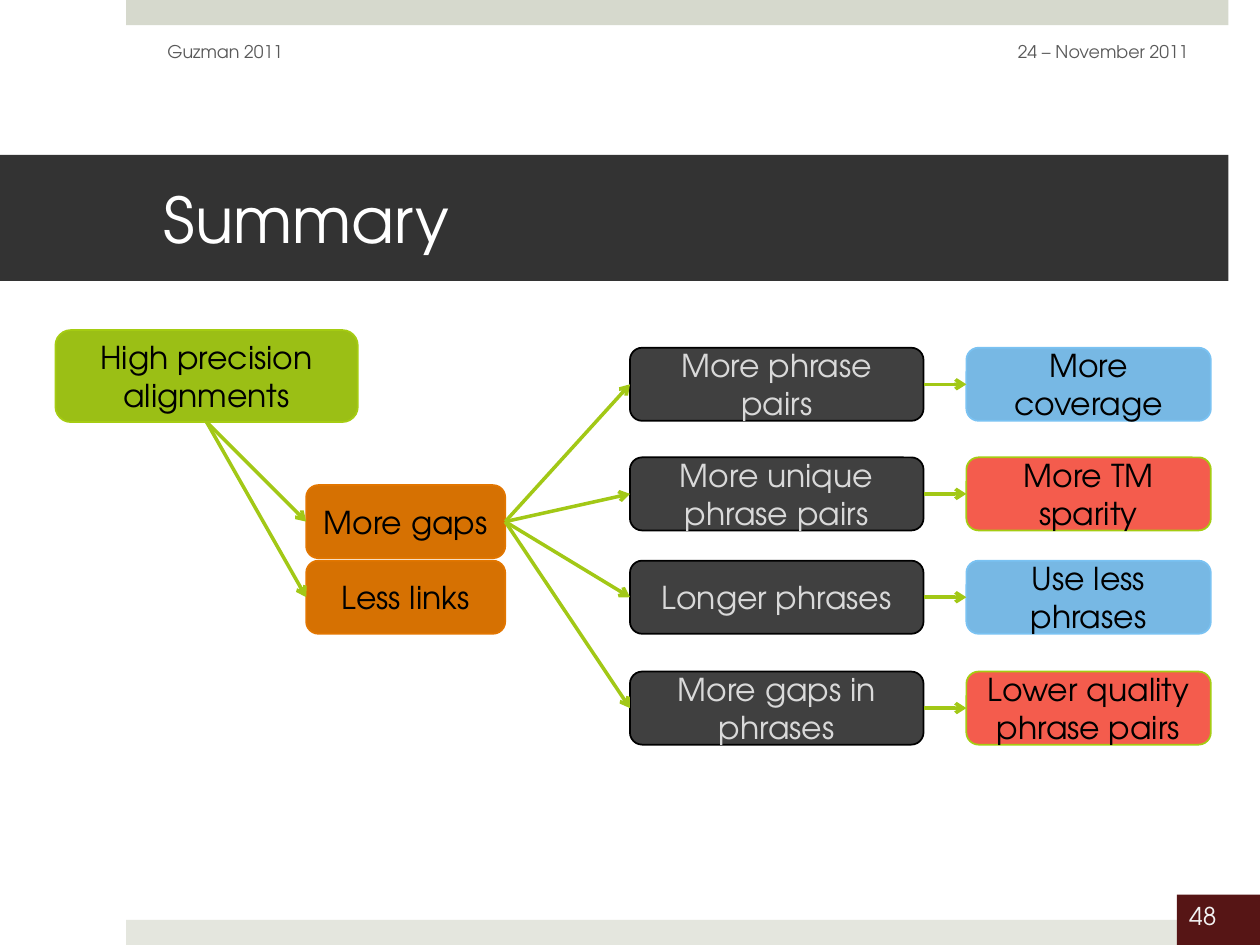
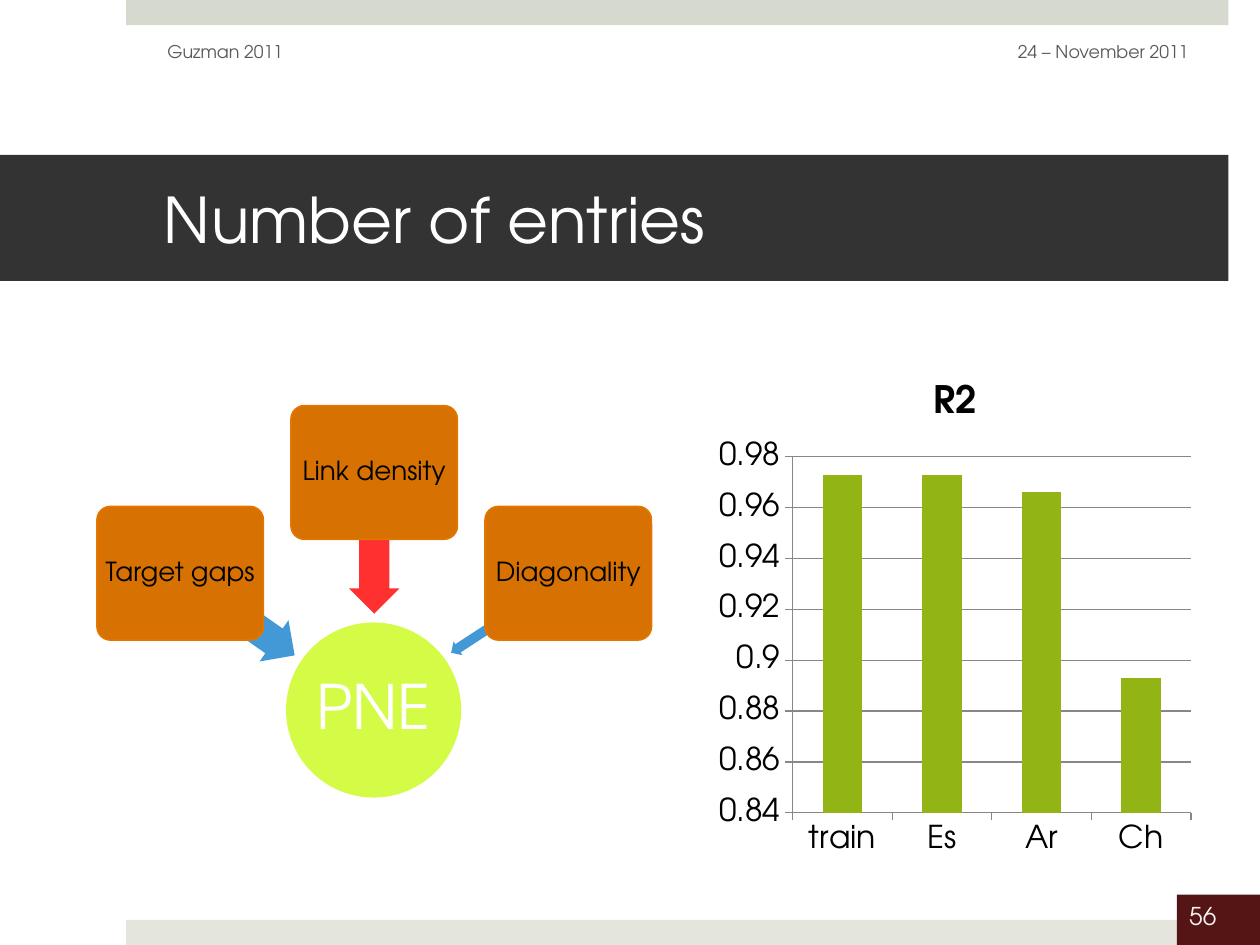
from lxml import etree
from pptx import Presentation
from pptx.chart.data import CategoryChartData
from pptx.dml.color import RGBColor
from pptx.enum.chart import XL_CHART_TYPE, XL_TICK_MARK
from pptx.enum.shapes import MSO_CONNECTOR, MSO_SHAPE
from pptx.enum.text import MSO_ANCHOR, MSO_AUTO_SIZE, PP_ALIGN
from pptx.oxml.ns import qn
from pptx.util import Inches, Pt

RECTANGLE = MSO_SHAPE.RECTANGLE
ROUNDED = MSO_SHAPE.ROUNDED_RECTANGLE
OVAL = MSO_SHAPE.OVAL
LEFT_ARROW = MSO_SHAPE.LEFT_ARROW
STRAIGHT = MSO_CONNECTOR.STRAIGHT
COLUMNS = XL_CHART_TYPE.COLUMN_CLUSTERED
TICK_OUTSIDE = XL_TICK_MARK.OUTSIDE
TOP, MIDDLE = MSO_ANCHOR.TOP, MSO_ANCHOR.MIDDLE
LEFT, CENTER, RIGHT = PP_ALIGN.LEFT, PP_ALIGN.CENTER, PP_ALIGN.RIGHT
NO_AUTOFIT = MSO_AUTO_SIZE.NONE

FONT = "TeX Gyre Adventor"
WHITE, BLACK, GRAY_TEXT = "FFFFFF", "000000", "595959"
TITLE_BAND, TOP_BAND, BOTTOM_BAND = "333333", "D6D9CD", "E4E6DE"
NUMBER_FILL, NUMBER_TEXT = "561515", "F2F2F2"
CONNECTOR_GREEN, BAR_GREEN, AXIS_GRAY = "A2C816", "92B414", "878787"
ARROW_BLUE, ARROW_RED, CIRCLE_LIME = "4299D6", "FF3030", "D4FC46"

# Each style is fill, outline, text
GREEN = ("9BBF15", "A5CC12", BLACK)
ORANGE = ("D67102", "E27600", BLACK)
DARK = ("404040", BLACK, "D9D9D9")
BLUE = ("77B8E4", "7AC2F2", BLACK)
RED = ("F45C4D", "A5CC12", BLACK)


def color(value):
    return RGBColor.from_string(value)


def set_font(font, size, fill=BLACK, bold=False):
    font.name, font.size, font.bold = FONT, Pt(size), bold
    font.color.rgb = color(fill)


def write(shape, text, size=18, fill=BLACK, align=CENTER, anchor=MIDDLE,
          margins=(0.1, 0.05, 0.1, 0.05), spacing=None):
    """Set the text of a shape; margins run left, top, right, bottom."""
    frame = shape.text_frame
    frame.word_wrap = True
    frame.auto_size = NO_AUTOFIT
    frame.vertical_anchor = anchor
    (frame.margin_left, frame.margin_top,
     frame.margin_right, frame.margin_bottom) = map(Inches, margins)
    frame.text = text
    para = frame.paragraphs[0]
    para.alignment = align
    if spacing:
        para.line_spacing = spacing
    set_font(para.runs[0].font, size, fill)


def add_block(page, kind, box, fill, line=None):
    shape = page.shapes.add_shape(kind, *map(Inches, box))
    shape.shadow.inherit = False
    shape.fill.solid()
    shape.fill.fore_color.rgb = color(fill)
    if line:
        shape.line.color.rgb = color(line)
        shape.line.width = Pt(1)
    else:
        shape.line.fill.background()
    return shape


def add_label(page, box, text, **text_format):
    write(page.shapes.add_textbox(*map(Inches, box)), text, **text_format)


def add_step(page, box, text, style):
    fill, line, text_color = style
    write(add_block(page, ROUNDED, box, fill, line), text, fill=text_color)


def add_link(page, start, end):
    link = page.shapes.add_connector(STRAIGHT, *map(Inches, start + end))
    link.line.color.rgb = color(CONNECTOR_GREEN)
    link.line.width = Pt(2)
    outline = link.line._get_or_add_ln()
    etree.SubElement(outline, qn("a:tailEnd"), type="arrow")
    etree.SubElement(link._element.spPr, qn("a:effectLst"))


def add_page(deck, title, number):
    """Add a title-only page with the shared bands, header and number."""
    page = deck.slides.add_slide(deck.slide_layouts[5])
    add_block(page, RECTANGLE, (1, 0, 8.75, 0.2), TOP_BAND)
    add_block(page, RECTANGLE, (1, 7.3, 8.75, 0.2), BOTTOM_BAND)
    badge = add_block(page, RECTANGLE, (9.34, 7.1, 0.66, 0.4), NUMBER_FILL)
    write(badge, number, size=14, fill=NUMBER_TEXT, align=LEFT, anchor=TOP)

    heading = page.shapes.title
    heading.left, heading.top, heading.width, heading.height = map(
        Inches, (0, 1.23, 9.75, 1))
    heading.fill.solid()
    heading.fill.fore_color.rgb = color(TITLE_BAND)
    write(heading, title, size=36, fill=WHITE, align=LEFT,
          margins=(1.3, 0.05, 0.3, 0.05))

    header = {"size": 10, "fill": GRAY_TEXT}
    add_label(page, (1.23, 0.21, 3.17, 0.4), "Guzman 2011", align=LEFT, **header)
    add_label(page, (7.2, 0.21, 2.33, 0.4), "24 – November 2011", align=RIGHT, **header)
    return page


def add_summary_flow(page, left, top):
    """Draw cause, changes, results and effects from left to right."""
    cause_width, cause_height, height = 2.4, 0.73, 0.58
    change_left, change_width = left + 1.99, 1.58
    result_left, result_width = left + 4.56, 2.33
    effect_left, effect_width = left + 7.23, 1.94
    changes = [(1.23, "More gaps"), (1.83, "Less links")]
    outcomes = [
        (0.14, "More phrase pairs", "More coverage", BLUE),
        (1.01, "More unique phrase pairs", "More TM sparity", RED),
        (1.83, "Longer phrases", "Use less phrases", BLUE),
        (2.71, "More gaps in phrases", "Lower quality phrase pairs", RED),
    ]

    add_step(page, (left, top, cause_width, cause_height),
             "High precision alignments", GREEN)
    cause_exit = (left + cause_width / 2, top + cause_height)
    for offset, change in changes:
        add_step(page, (change_left, top + offset, change_width, height),
                 change, ORANGE)
        add_link(page, cause_exit, (change_left, top + offset + height / 2))

    gaps_exit = (change_left + change_width, top + changes[0][0] + height / 2)
    for offset, result, effect, style in outcomes:
        row = top + offset
        middle = row + height / 2
        add_step(page, (result_left, row, result_width, height), result, DARK)
        add_step(page, (effect_left, row, effect_width, height), effect, style)
        add_link(page, gaps_exit, (result_left, middle))
        add_link(page, (result_left + result_width, middle), (effect_left, middle))


def add_factor_diagram(page, left, top):
    """Draw three factors whose arrows point at the PNE circle."""
    circle = add_block(page, OVAL, (left + 1.5, top + 1.72, 1.39, 1.39), CIRCLE_LIME)
    write(circle, "PNE", size=35, fill=WHITE, margins=(0.02,) * 4, spacing=0.9)

    # Name, card drop, arrow offset, arrow thickness, rotation, arrow colour
    factors = [
        ("Target gaps", 0.8, (0.55, 1.46), 0.4, 215, ARROW_BLUE),
        ("Link density", 0, (1.64, 0.89), 0.4, 270, ARROW_RED),
        ("Diagonality", 0.8, (2.72, 1.59), 0.13, 326.9, ARROW_BLUE),
    ]
    fill, line, text_color = ORANGE
    for index, (name, drop, (across, down), thickness, angle, tint) in enumerate(factors):
        arrow = add_block(page, LEFT_ARROW,
                          (left + across, top + down, 1.12, thickness), tint)
        arrow.adjustments[0], arrow.adjustments[1] = 0.6, 0.5
        arrow.rotation = angle
        card = add_block(page, ROUNDED,
                         (left + index * 1.54, top + drop, 1.32, 1.06), fill, line)
        card.adjustments[0] = 0.1
        write(card, name, size=15, fill=text_color, margins=(0.02,) * 4, spacing=0.9)


def add_fit_chart(page, box):
    data = CategoryChartData()
    data.categories = ["train", "Es", "Ar", "Ch"]
    data.add_series("R2", [0.973, 0.973, 0.966, 0.893])
    chart = page.shapes.add_chart(COLUMNS, *map(Inches, box), data).chart
    set_font(chart.font, 18)
    chart.has_legend = False
    chart.has_title = True
    title = chart.chart_title.text_frame
    title.text = "R2"
    set_font(title.paragraphs[0].runs[0].font, 21.6, bold=True)

    plot = chart.plots[0]
    plot.gap_width = 150
    plot.vary_by_categories = False
    bars = plot.series[0].format.fill
    bars.solid()
    bars.fore_color.rgb = color(BAR_GREEN)

    values = chart.value_axis
    values.minimum_scale, values.maximum_scale = 0.84, 0.98
    values.major_unit = 0.02
    values.has_major_gridlines = True
    values.tick_labels.number_format = "General"
    values.tick_labels.number_format_is_linked = False
    for axis in (values, chart.category_axis):
        axis.major_tick_mark = TICK_OUTSIDE
    for part in (values, chart.category_axis, values.major_gridlines):
        part.format.line.color.rgb = color(AXIS_GRAY)
        part.format.line.width = Pt(0.75)


def main():
    deck = Presentation()
    deck.slide_width, deck.slide_height = Inches(10), Inches(7.5)
    add_summary_flow(add_page(deck, "Summary", "48"), 0.44, 2.62)
    entries = add_page(deck, "Number of entries", "56")
    add_factor_diagram(entries, 0.77, 3.22)
    add_fit_chart(entries, (5.63, 2.84, 3.9, 4.03))
    deck.save("out.pptx")


if __name__ == "__main__":
    main()
